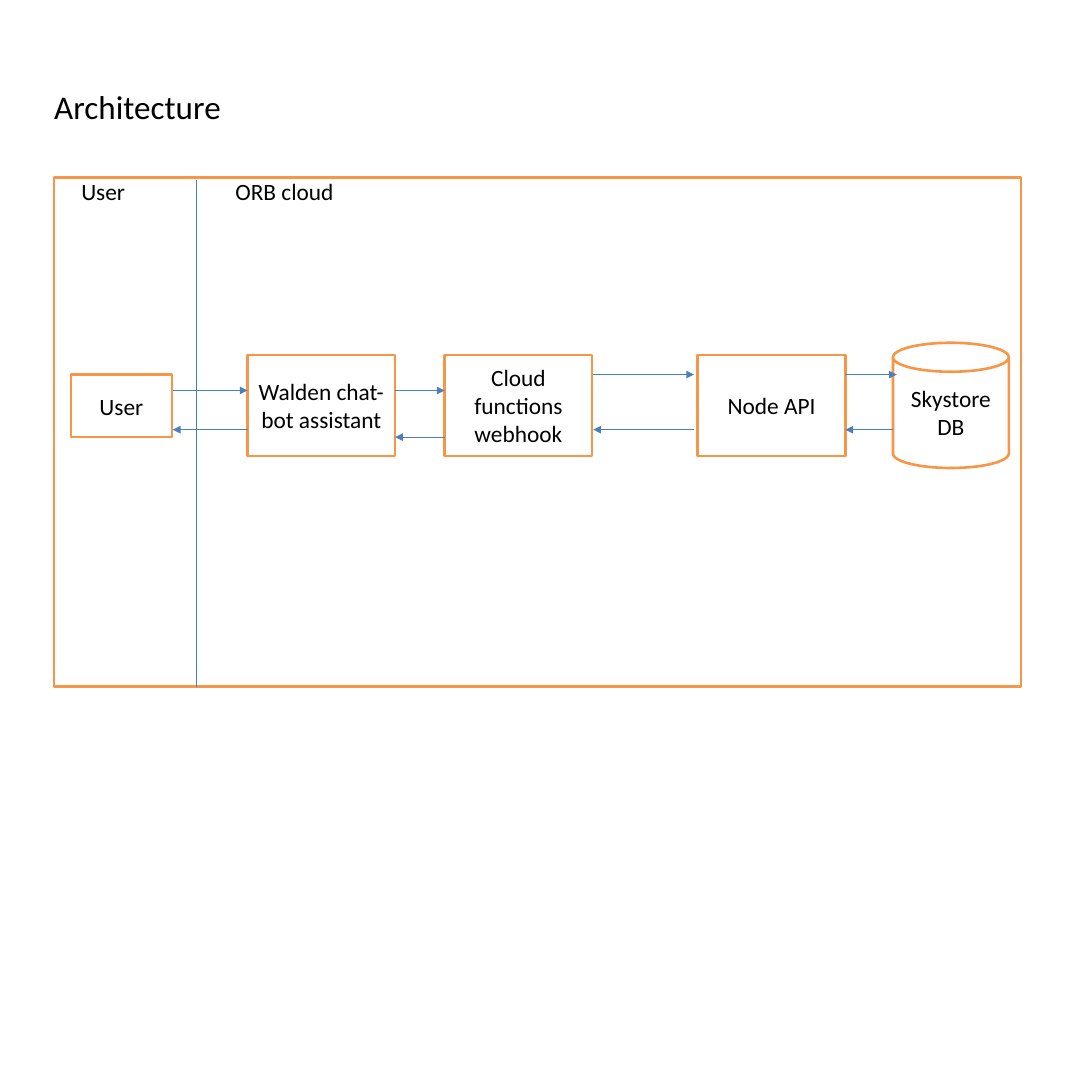
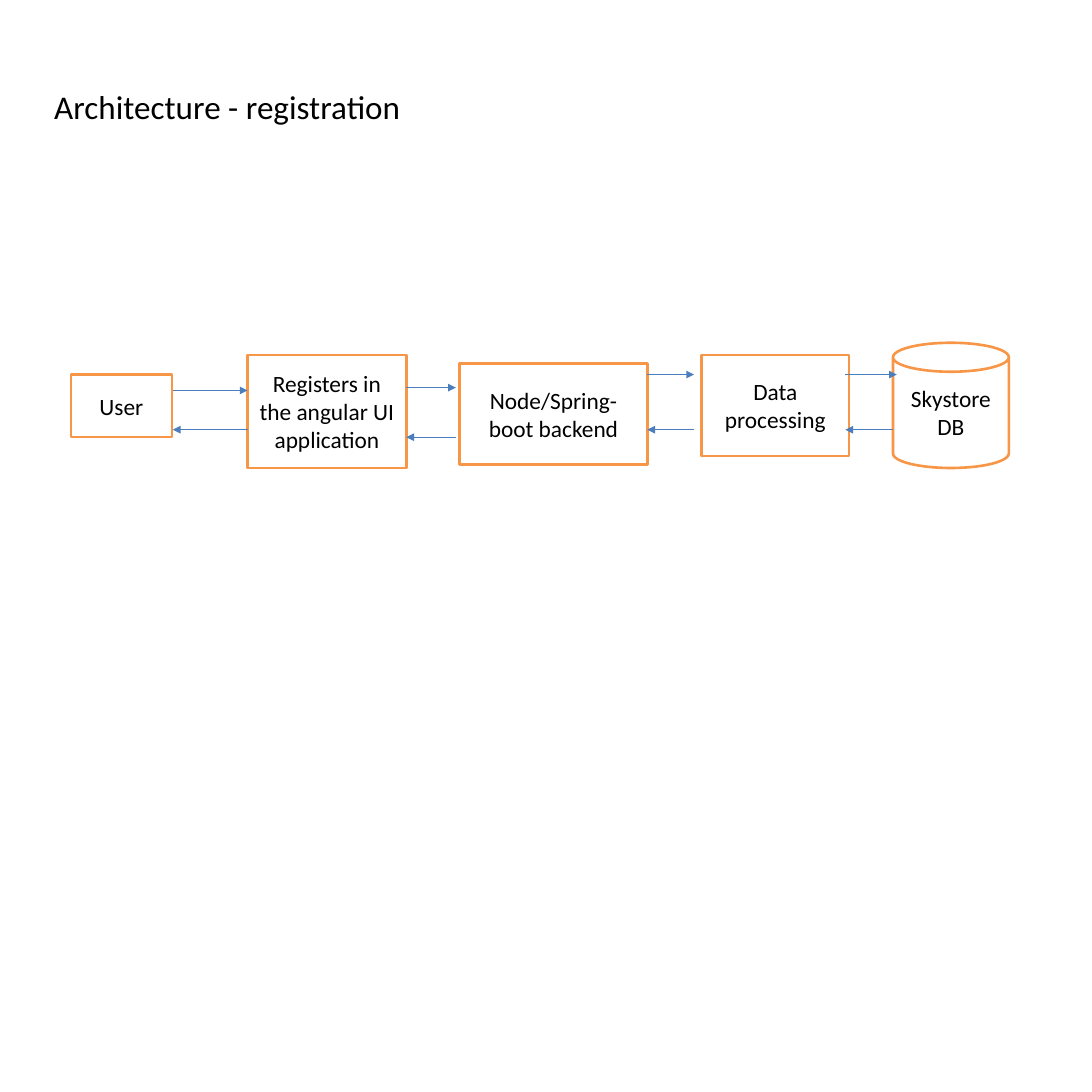
from dataclasses import dataclass

from lxml.etree import SubElement
from pptx import Presentation
from pptx.dml.color import RGBColor
from pptx.enum.shapes import MSO_CONNECTOR, MSO_SHAPE
from pptx.enum.text import MSO_ANCHOR, MSO_AUTO_SIZE, PP_ALIGN
from pptx.oxml.ns import qn
from pptx.util import Inches, Pt


@dataclass(frozen=True)
class Theme:
    font: str = "Calibri"
    text: RGBColor = RGBColor(0x00, 0x00, 0x00)
    fill: RGBColor = RGBColor(0xFF, 0xFF, 0xFF)
    outline: RGBColor = RGBColor(0xF7, 0x96, 0x46)
    link: RGBColor = RGBColor(0x4B, 0x7E, 0xBC)
    title_size: float = 25.5
    body_size: float = 18
    outline_width: float = 2
    link_width: float = 0.75


THEME = Theme()
SIDE = 11.69
TITLE_AREA = (0.58, 0.93, 7.76, 0.43)
ZONE_AREA = (0.58, 1.9, 10.35, 5.45)
USER_ZONE_INDENT = 0.29
CLOUD_ZONE_AREA = (2.52, 1.9, 3, 0.31)
DIVIDER_X = 2.1
USER_AREA = (0.76, 4.01, 1.08, 0.67)
DATABASE_AREA = (9.56, 3.67, 1.24, 1.34)


def add_text(paragraph, text, size):
    run = paragraph.add_run()
    run.text = text
    run.font.name = THEME.font
    run.font.size = Pt(size)
    run.font.color.rgb = THEME.text


def style_panel(shape):
    shape.fill.solid()
    shape.fill.fore_color.rgb = THEME.fill
    shape.line.color.rgb = THEME.outline
    shape.line.width = Pt(THEME.outline_width)


def set_label(holder, area, text, size, indent=0):
    holder.left, holder.top, holder.width, holder.height = map(Inches, area)
    frame = holder.text_frame
    frame.margin_left = frame.margin_right = 0
    frame.margin_top = frame.margin_bottom = 0
    frame.word_wrap = True
    frame.auto_size = MSO_AUTO_SIZE.NONE
    frame.vertical_anchor = MSO_ANCHOR.TOP
    paragraph = frame.paragraphs[0]
    paragraph.alignment = PP_ALIGN.LEFT
    paragraph.space_before = Pt(0)
    properties = paragraph._p.get_or_add_pPr()
    properties.set("marL", str(Inches(indent)))
    properties.set("indent", "0")
    SubElement(properties, qn("a:buNone"))
    add_text(paragraph, text, size)


def add_titled_slide(deck, layout_name, title):
    slide = deck.slides.add_slide(deck.slide_layouts.get_by_name(layout_name))
    set_label(slide.shapes.title, TITLE_AREA, title, THEME.title_size)
    return slide


def add_zones(slide, user_zone, cloud_zone):
    zones = slide.placeholders[1]
    style_panel(zones)
    set_label(zones, ZONE_AREA, user_zone, THEME.body_size, USER_ZONE_INDENT)
    cloud_label = slide.shapes.add_textbox(*map(Inches, CLOUD_ZONE_AREA))
    set_label(cloud_label, CLOUD_ZONE_AREA, cloud_zone, THEME.body_size)
    add_line(slide, (DIVIDER_X, 1.93), (DIVIDER_X, 7.35))


def add_stage(slide, text, area, kind=MSO_SHAPE.RECTANGLE):
    stage = slide.shapes.add_shape(kind, *map(Inches, area))
    stage.shadow.inherit = False
    style_panel(stage)
    frame = stage.text_frame
    frame.word_wrap = True
    frame.vertical_anchor = MSO_ANCHOR.MIDDLE
    paragraph = frame.paragraphs[0]
    paragraph.alignment = PP_ALIGN.CENTER
    add_text(paragraph, text, THEME.body_size)


def add_line(slide, start, end, arrow=False):
    line = slide.shapes.add_connector(
        MSO_CONNECTOR.STRAIGHT, *map(Inches, (*start, *end)))
    line.line.color.rgb = THEME.link
    line.line.width = Pt(THEME.link_width)
    if arrow:
        SubElement(line.line._get_or_add_ln(), qn("a:tailEnd"), type="triangle")
    SubElement(line._element.spPr, qn("a:effectLst"))


def add_exchange(slide, left, right, request_y, reply_y, overlap=0):
    add_line(slide, (left, request_y), (right + overlap, request_y), arrow=True)
    add_line(slide, (right, reply_y), (left, reply_y), arrow=True)


def add_flow(slide, middle_stages, middle_exchanges):
    add_stage(slide, "User", USER_AREA)
    for text, area in middle_stages:
        add_stage(slide, text, area)
    add_stage(slide, "Skystore DB", DATABASE_AREA, MSO_SHAPE.CAN)
    add_exchange(slide, 1.85, 2.65, 4.18, 4.6)
    for exchange in middle_exchanges:
        add_exchange(slide, *exchange)
    add_exchange(slide, 9.05, 9.56, 4.01, 4.6, overlap=0.04)


def main():
    deck = Presentation()
    deck.slide_width = deck.slide_height = Inches(SIDE)

    overview = add_titled_slide(deck, "Title and Content", "Architecture")
    add_zones(overview, "User", "ORB cloud")
    add_flow(
        overview,
        [
            ("Walden chat-bot assistant", (2.65, 3.8, 1.58, 1.08)),
            ("Cloud functions webhook", (4.76, 3.8, 1.58, 1.08)),
            ("Node API", (7.47, 3.8, 1.58, 1.08)),
        ],
        [(4.23, 4.76, 4.18, 4.68), (6.35, 7.43, 4.01, 4.6)],
    )

    registration = add_titled_slide(
        deck, "Title Only", "Architecture - registration")
    add_flow(
        registration,
        [
            ("Registers in the angular UI application", (2.65, 3.8, 1.7, 1.21)),
            ("Node/Spring-boot backend", (4.92, 3.89, 2.01, 1.08)),
            ("Data processing", (7.51, 3.8, 1.58, 1.08)),
        ],
        [(4.35, 4.88, 4.15, 4.68), (6.93, 7.43, 4.01, 4.6)],
    )

    deck.save("out.pptx")


if __name__ == "__main__":
    main()
